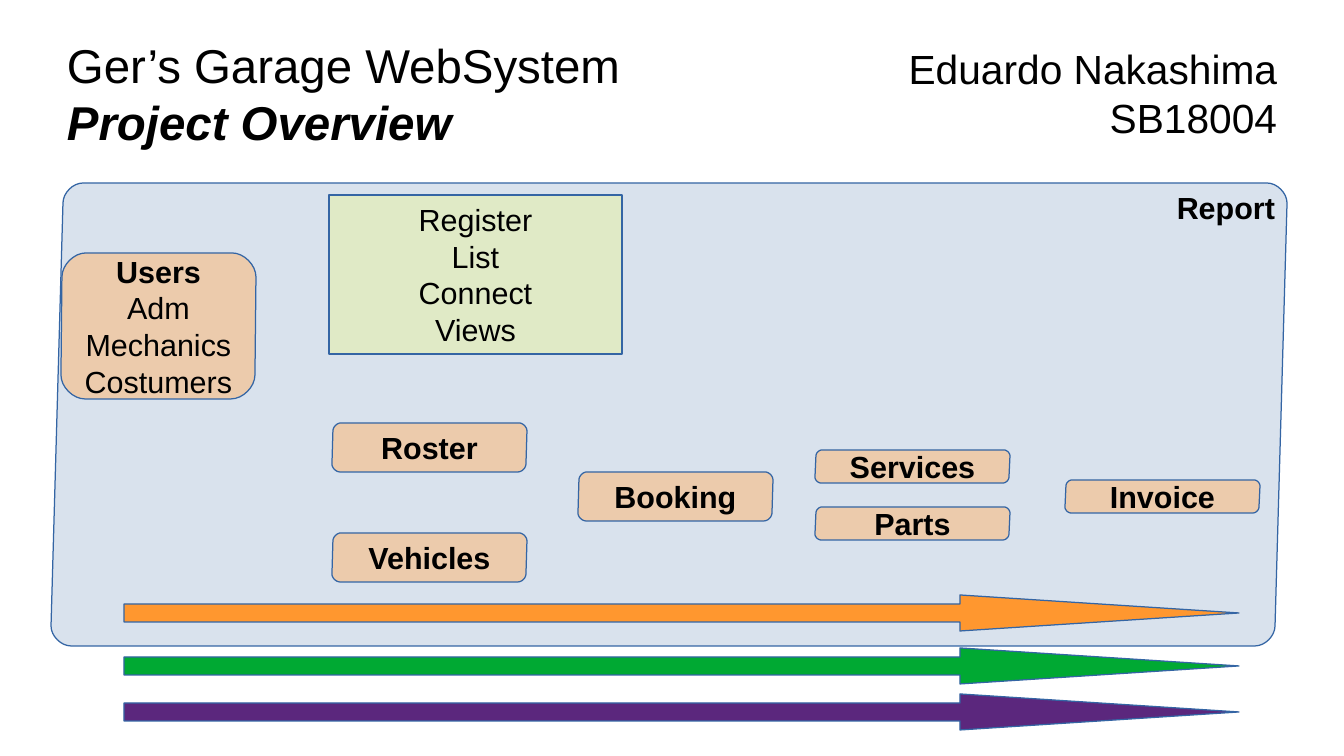
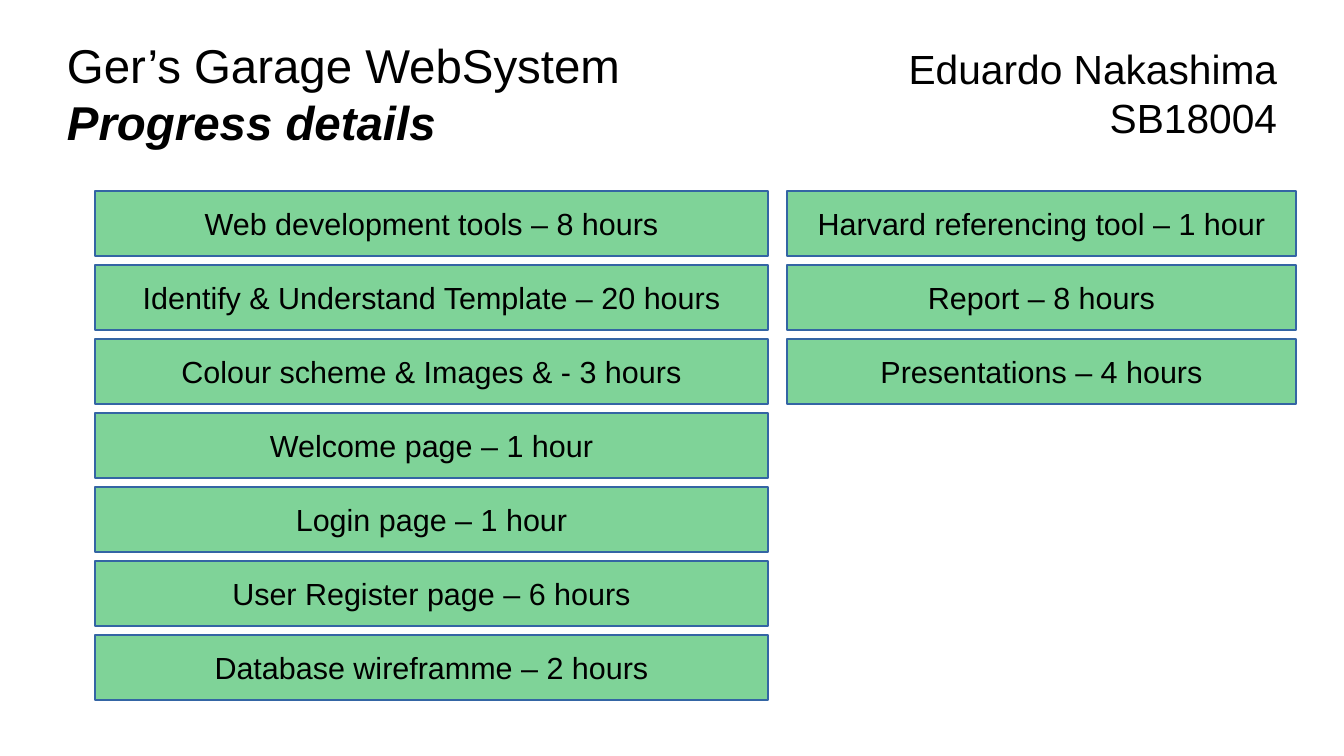
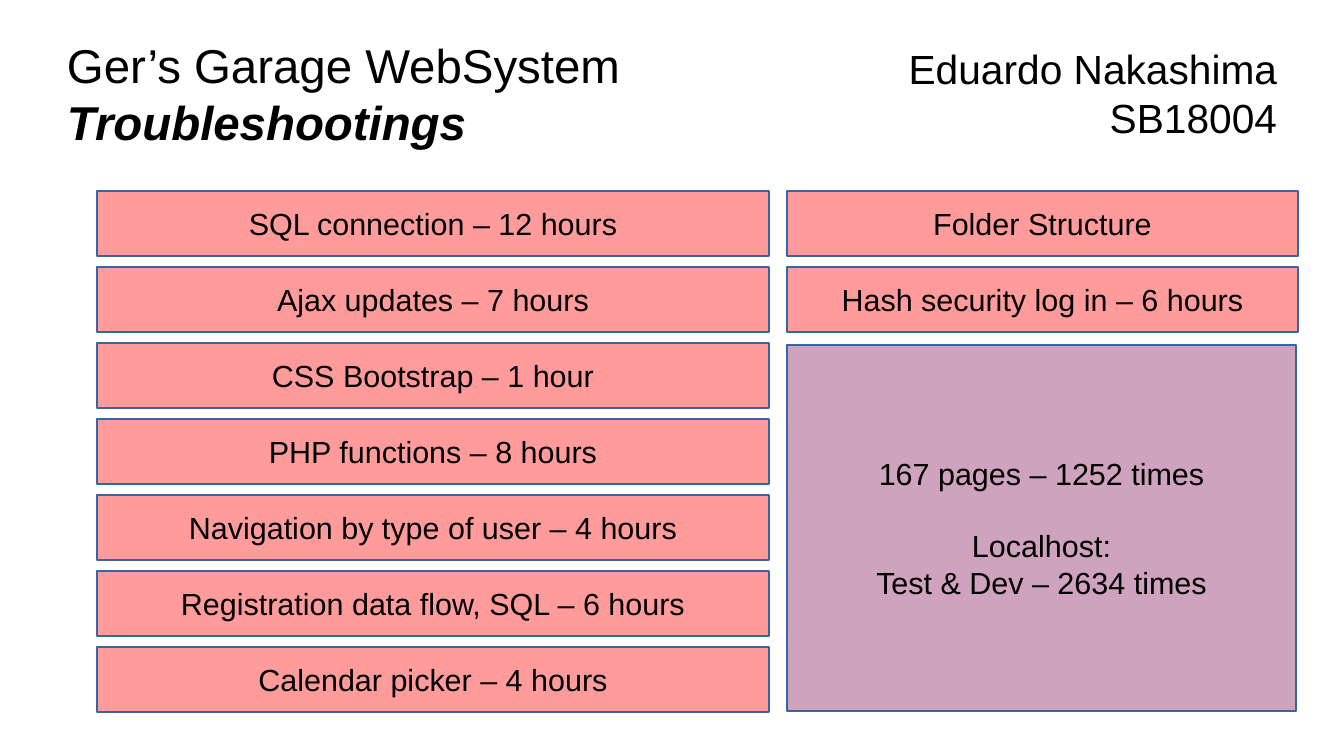
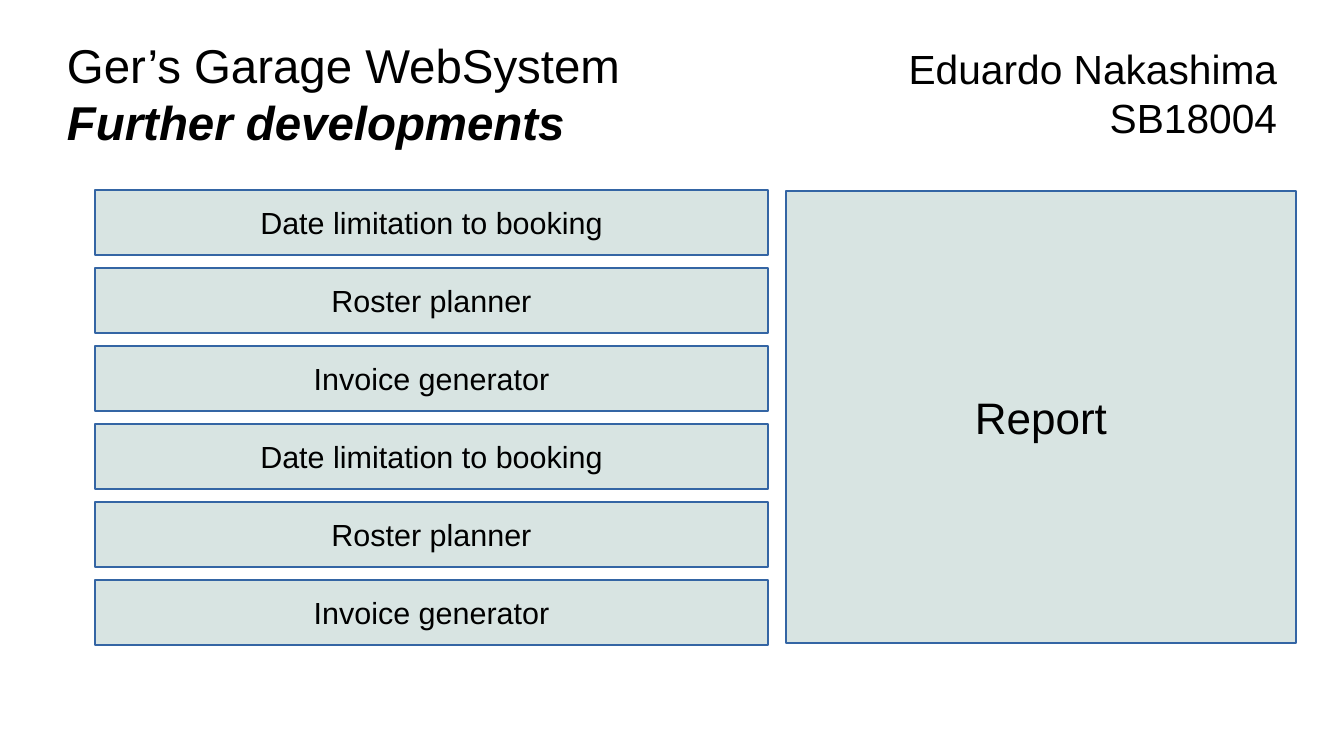
"""Build the four-slide garage web system project deck."""
from dataclasses import dataclass

from lxml.etree import SubElement
from pptx import Presentation
from pptx.dml.color import RGBColor
from pptx.enum.shapes import MSO_SHAPE
from pptx.enum.text import MSO_ANCHOR, PP_ALIGN
from pptx.oxml.ns import qn
from pptx.util import Pt

SCALE = 7495


@dataclass(frozen=True)
class Theme:
    font: str = "Arial"
    ink: str = "000000"
    outline: str = "3465A4"
    panel: str = "B4C7DC"
    module: str = "FFB66C"
    actions: str = "E8F2A1"
    orange: str = "FF972F"
    green: str = "00A933"
    purple: str = "5B277D"
    red: str = "FF3838"
    plum: str = "A1467E"
    sage: str = "B3CAC7"
    title: int = 28
    author: int = 24
    feature: int = 26
    body: int = 18
    border: float = 0.75


theme = Theme()


def paint(shape, color, opacity=50):
    """Give a shape its fill, opacity in percent and outline."""
    shape.shadow.inherit = False
    shape.fill.solid()
    shape.fill.fore_color.rgb = RGBColor.from_string(color)
    if opacity < 100:
        tint = shape.fill._xPr.find(qn("a:solidFill"))[0]
        SubElement(tint, qn("a:alpha"), val=str(opacity * 1000))
    shape.line.color.rgb = RGBColor.from_string(theme.outline)
    shape.line.width = Pt(theme.border)


def write(shape, paragraphs, size=theme.body, align=PP_ALIGN.CENTER,
          anchor=MSO_ANCHOR.MIDDLE, inset=(12, 6)):
    """Fill a shape with paragraphs of (text, style) lines."""
    frame = shape.text_frame
    frame.word_wrap = True
    frame.vertical_anchor = anchor
    frame.margin_left = frame.margin_right = inset[0] * SCALE
    frame.margin_top = frame.margin_bottom = inset[1] * SCALE
    for number, lines in enumerate(paragraphs):
        para = frame.add_paragraph() if number else frame.paragraphs[0]
        para.alignment = align
        for position, (text, style) in enumerate(lines):
            if position:
                para.add_line_break()
            span = para.add_run()
            span.text = text
            span.font.name = theme.font
            span.font.size = Pt(size)
            span.font.bold = "b" in style
            span.font.italic = "i" in style
            span.font.color.rgb = RGBColor.from_string(theme.ink)


deck = Presentation()
deck.slide_width = 1344 * SCALE
deck.slide_height = 756 * SCALE

pages = []
for subtitle in ("Project Overview", "Progress details", "Troubleshootings", "Further developments"):
    page = deck.slides.add_slide(deck.slide_layouts[6])
    pages.append(page)
    heading = page.shapes.add_textbox(67 * SCALE, 30 * SCALE, 1210 * SCALE, 126 * SCALE)
    write(heading, [[("Ger’s Garage WebSystem", ""), (subtitle, "bi")]],
          theme.title, PP_ALIGN.LEFT, inset=(0, 0))
    author = page.shapes.add_textbox(671 * SCALE, 30 * SCALE, 606 * SCALE, 126 * SCALE)
    write(author, [[("Eduardo Nakashima", "")], [("SB18004", "")]],
          theme.author, PP_ALIGN.RIGHT, inset=(0, 0))

overview, progress, troubles, future = pages

slanted_boxes = [
    (("Report",), 51, 183, 1236, 463, 20, 12, theme.panel),
    (("Users", "Adm", "Mechanics", "Costumers"), 61, 253, 195, 146, 24, 1, theme.module),
    (("Vehicles",), 332, 533, 195, 49, 8, 1, theme.module),
    (("Roster",), 332, 423, 195, 49, 8, 1, theme.module),
    (("Booking",), 578, 472, 195, 49, 8, 1, theme.module),
    (("Services",), 815, 450, 195, 33, 6, 1, theme.module),
    (("Parts",), 815, 507, 195, 33, 6, 1, theme.module),
    (("Invoice",), 1065, 480, 195, 33, 6, 1, theme.module),
]
steps = [step / 8 for step in range(9)]
curve = [1.5 * t * t * (1 - t) + t ** 3 for t in steps]
for words, left, top, width, height, radius, slant, color in slanted_boxes:
    right, bottom = left + width, top + height
    corners = [
        (left + slant, top, 1, 1),
        (right, top, -1, 1),
        (right - slant, bottom, -1, -1),
        (left, bottom, 1, -1),
    ]
    outline = []
    for x, y, inward, downward in corners:
        bend = [
            (round((x + inward * radius * across) * SCALE), round((y + downward * radius * down) * SCALE))
            for across, down in zip(curve, reversed(curve))
        ]
        outline += bend if inward == downward else bend[::-1]
    builder = overview.shapes.build_freeform(*outline[0])
    builder.add_line_segments(outline[1:], close=True)
    box = builder.convert_to_shape()
    paint(box, color)
    is_panel = color == theme.panel
    write(box, [[(word, "" if number else "b")] for number, word in enumerate(words)],
          align=PP_ALIGN.RIGHT if is_panel else PP_ALIGN.CENTER,
          anchor=MSO_ANCHOR.TOP if is_panel else MSO_ANCHOR.MIDDLE)

actions = overview.shapes.add_shape(
    MSO_SHAPE.RECTANGLE, 329 * SCALE, 195 * SCALE, 293 * SCALE, 159 * SCALE)
paint(actions, theme.actions)
write(actions, [[(word, "")] for word in ("Register", "List", "Connect", "Views")])

for middle, color in ((613, theme.orange), (666, theme.green), (712, theme.purple)):
    builder = overview.shapes.build_freeform(124, middle - 9, SCALE)
    builder.add_line_segments([
        (960, middle - 9), (960, middle - 18), (1239, middle),
        (960, middle + 18), (960, middle + 9), (124, middle + 9),
    ], close=True)
    paint(builder.convert_to_shape(), color, 100)

columns = [
    (progress, 95, 673, 191, 74, theme.green, (
        "Web development tools – 8 hours",
        "Identify & Understand Template – 20 hours",
        "Colour scheme & Images & - 3 hours",
        "Welcome page – 1 hour",
        "Login page – 1 hour",
        "User Register page – 6 hours",
        "Database wireframme – 2 hours",
    )),
    (progress, 787, 509, 191, 74, theme.green, (
        "Harvard referencing tool – 1 hour",
        "Report – 8 hours",
        "Presentations – 4 hours",
    )),
    (troubles, 97, 672, 191, 76, theme.red, (
        "SQL connection – 12 hours",
        "Ajax updates – 7 hours",
        "CSS Bootstrap – 1 hour",
        "PHP functions – 8 hours",
        "Navigation by type of user – 4 hours",
        "Registration data flow, SQL – 6 hours",
        "Calendar picker – 4 hours",
    )),
    (troubles, 787, 511, 191, 76, theme.red, (
        "Folder Structure",
        "Hash security log in – 6 hours",
    )),
    (future, 95, 673, 190, 78, theme.sage, (
        "Date limitation to booking",
        "Roster planner",
        "Invoice generator",
    ) * 2),
]
for page, left, width, top, pitch, color, entries in columns:
    for row, entry in enumerate(entries):
        bar = page.shapes.add_shape(
            MSO_SHAPE.RECTANGLE, left * SCALE, (top + row * pitch) * SCALE, width * SCALE, 65 * SCALE)
        paint(bar, color)
        write(bar, [[(entry, "")]])

usage = troubles.shapes.add_shape(
    MSO_SHAPE.RECTANGLE, 787 * SCALE, 345 * SCALE, 509 * SCALE, 366 * SCALE)
paint(usage, theme.plum)
write(usage, [[("167 pages – 1252 times", "")], [("Localhost:", "")], [("Test & Dev – 2634 times", "")]])
usage.text_frame.paragraphs[1].space_before = Pt(21)

report = future.shapes.add_shape(
    MSO_SHAPE.RECTANGLE, 786 * SCALE, 191 * SCALE, 510 * SCALE, 452 * SCALE)
paint(report, theme.sage)
write(report, [[("Report", "")]], theme.feature)

deck.save("out.pptx")
